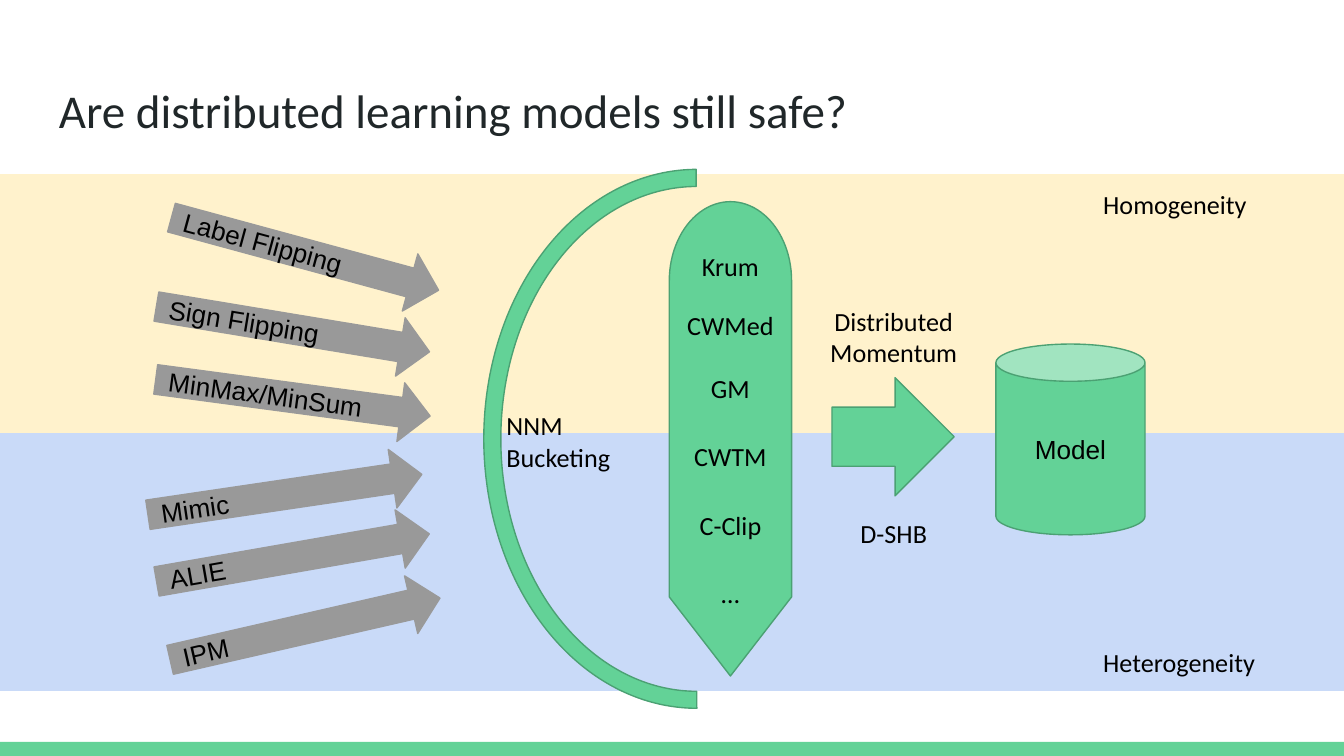
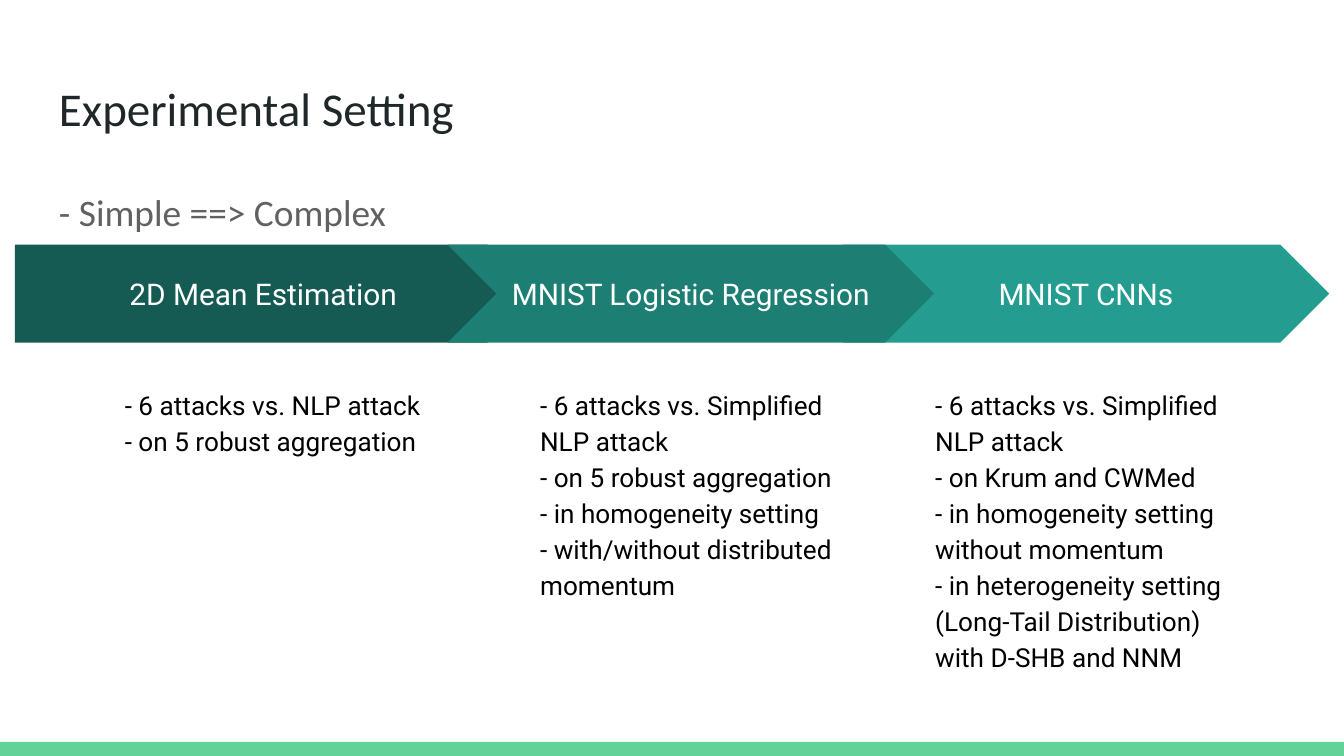
from dataclasses import dataclass

from pptx import Presentation
from pptx.dml.color import RGBColor
from pptx.enum.shapes import MSO_SHAPE
from pptx.enum.text import MSO_ANCHOR, PP_ALIGN
from pptx.util import Inches, Pt


@dataclass(frozen=True)
class Theme:
    green: str = "63D297"
    green_edge: str = "4BA173"
    gray: str = "999999"
    yellow: str = "FFF2CC"
    blue: str = "C9DAF8"
    teals: tuple = ("155B54", "1D7E74", "249C90")
    title_color: str = "202729"
    body_color: str = "616161"
    black: str = "000000"
    white: str = "FFFFFF"
    font: str = "Calibri"
    shape_font: str = "Arial"
    stage_font: str = "Roboto"
    title_size: float = 25.2
    body_size: int = 20
    stage_size: int = 16
    label_size: int = 14


THEME = Theme()


def write(shape, lines, size=THEME.label_size, font=THEME.font, color=THEME.black,
          align=PP_ALIGN.LEFT, anchor=MSO_ANCHOR.TOP, spacing=None):
    """Fill a shape with one paragraph per line, in a single style."""
    frame = shape.text_frame
    frame.word_wrap = True
    frame.vertical_anchor = anchor
    frame.margin_left = frame.margin_right = Inches(0.1)
    frame.margin_top = frame.margin_bottom = Inches(0.1)
    frame.text = "\n".join(lines)
    for paragraph in frame.paragraphs:
        paragraph.alignment = align
        if spacing:
            paragraph.line_spacing = spacing
        paragraph.font.name = font
        paragraph.font.size = Pt(size)
        paragraph.font.color.rgb = RGBColor.from_string(color)


def add_label(slide, lines, left, top, width, height=0.44, **style):
    label = slide.shapes.add_textbox(
        Inches(left), Inches(top), Inches(width), Inches(height))
    write(label, lines, **style)


def add_block(slide, kind, left, top, width, height, fill, edge=None, rotation=0):
    block = slide.shapes.add_shape(
        kind, Inches(left), Inches(top), Inches(width), Inches(height))
    block.shadow.inherit = False
    block.rotation = rotation
    block.fill.solid()
    block.fill.fore_color.rgb = RGBColor.from_string(fill)
    if edge:
        block.line.color.rgb = RGBColor.from_string(edge)
        block.line.width = Pt(0.75)
    else:
        block.line.fill.background()
    return block


def add_green(slide, kind, left, top, width, height, rotation=0):
    return add_block(slide, kind, left, top, width, height,
                     THEME.green, THEME.green_edge, rotation)


def add_titled_slide(deck, title, title_top):
    slide = deck.slides.add_slide(deck.slide_layouts[6])
    add_block(slide, MSO_SHAPE.RECTANGLE, 0, 5.52, 10, 0.11, THEME.green)
    add_label(slide, [title], 0.34, title_top, 9.32, 0.63,
              size=THEME.title_size, color=THEME.title_color)
    return slide


def add_attack(slide, name, left, top, rotation):
    attack = add_block(slide, MSO_SHAPE.RIGHT_ARROW, left, top, 2.06, 0.44,
                       THEME.gray, THEME.gray, rotation)
    write(attack, [name], font=THEME.shape_font, anchor=MSO_ANCHOR.MIDDLE)


def add_stage(slide, kind, name, left, width, fill, notes, notes_left):
    """Add one step of the process band with its notes below."""
    stage = add_block(slide, kind, left, 1.82, width, 0.73, fill)
    write(stage, [name], size=THEME.stage_size, font=THEME.stage_font,
          color=THEME.white, align=PP_ALIGN.CENTER, anchor=MSO_ANCHOR.MIDDLE)
    add_label(slide, notes, notes_left, 2.76, 2.45, 2.86,
              font=THEME.stage_font, spacing=1.15)


def build_safety_slide(deck):
    slide = add_titled_slide(deck, "Are distributed learning models still safe?", 0.51)

    for setting, color, band_top, label_top in [
            ("Heterogeneity", THEME.blue, 3.22, 4.71),
            ("Homogeneity", THEME.yellow, 1.3, 1.3)]:
        add_block(slide, MSO_SHAPE.RECTANGLE, 0, band_top, 10, 1.92, color, color)
        add_label(slide, [setting], 8.11, label_top, 1.89)

    add_green(slide, MSO_SHAPE.FLOWCHART_DISPLAY, 3.67, 2.81, 3.53, 0.91, 270)
    for aggregator, top in [("Krum", 1.76), ("CWMed", 2.2), ("GM", 2.67),
                            ("CWTM", 3.18), ("C-Clip", 3.69), ("…", 4.2)]:
        add_label(slide, [aggregator], 4.98, top, 0.91, align=PP_ALIGN.CENTER)

    model = add_green(slide, MSO_SHAPE.CAN, 7.41, 2.56, 1.11, 1.42)
    write(model, ["Model"], font=THEME.shape_font,
          align=PP_ALIGN.CENTER, anchor=MSO_ANCHOR.MIDDLE)

    shield = add_green(slide, MSO_SHAPE.BLOCK_ARC, 3.18, 1.68, 4.01, 3.17, 270)
    for index, value in enumerate((108, 215.91, 0.04)):
        shield.adjustments[index] = value

    for attack in [("Label Flipping", 1.24, 1.67, 15.2),
                   ("Sign Flipping", 1.15, 2.23, 9.4),
                   ("MinMax/MinSum", 1.15, 2.74, 7.6),
                   ("Mimic", 1.09, 3.46, 351.6),
                   ("ALIE", 1.15, 3.93, 350.1),
                   ("IPM", 1.24, 4.46, 347.1)]:
        add_attack(slide, *attack)

    add_label(slide, ["NNM", "Bucketing"], 3.67, 2.95, 1.89, 0.67)
    add_label(slide, ["Distributed", "Momentum"], 5.46, 2.17, 2.38, 0.67,
              align=PP_ALIGN.CENTER)
    add_label(slide, ["D-SHB"], 5.46, 3.75, 2.38, align=PP_ALIGN.CENTER)
    add_green(slide, MSO_SHAPE.RIGHT_ARROW, 6.19, 2.81, 0.91, 0.88)


def build_setting_slide(deck):
    slide = add_titled_slide(deck, "Experimental Setting", 0.49)
    add_label(slide, ["- Simple ==> Complex"], 0.34, 1.26, 9.32, 3.74,
              size=THEME.body_size, color=THEME.body_color, spacing=1.15)

    first, second, third = THEME.teals
    # The middle stage comes last because it overlaps both neighbours.
    add_stage(slide, MSO_SHAPE.CHEVRON, "MNIST CNNs", 6.27, 3.62, third,
              ["- 6 attacks vs. Simplified NLP attack",
               "- on Krum and CWMed",
               "- in homogeneity setting without momentum",
               "- in heterogeneity setting (Long-Tail Distribution) with D-SHB and NNM"],
              6.86)
    add_stage(slide, MSO_SHAPE.PENTAGON, "2D Mean Estimation", 0.11, 3.88, first,
              ["- 6 attacks vs. NLP attack",
               "- on 5 robust aggregation"],
              0.83)
    add_stage(slide, MSO_SHAPE.CHEVRON, "MNIST Logistic Regression", 3.33, 3.62, second,
              ["- 6 attacks vs. Simplified NLP attack",
               "- on 5 robust aggregation",
               "- in homogeneity setting",
               "- with/without distributed momentum"],
              3.92)


def main():
    deck = Presentation()
    deck.slide_width = Inches(10)
    deck.slide_height = deck.slide_width * 9 // 16
    build_safety_slide(deck)
    build_setting_slide(deck)
    deck.save("out.pptx")


if __name__ == "__main__":
    main()
